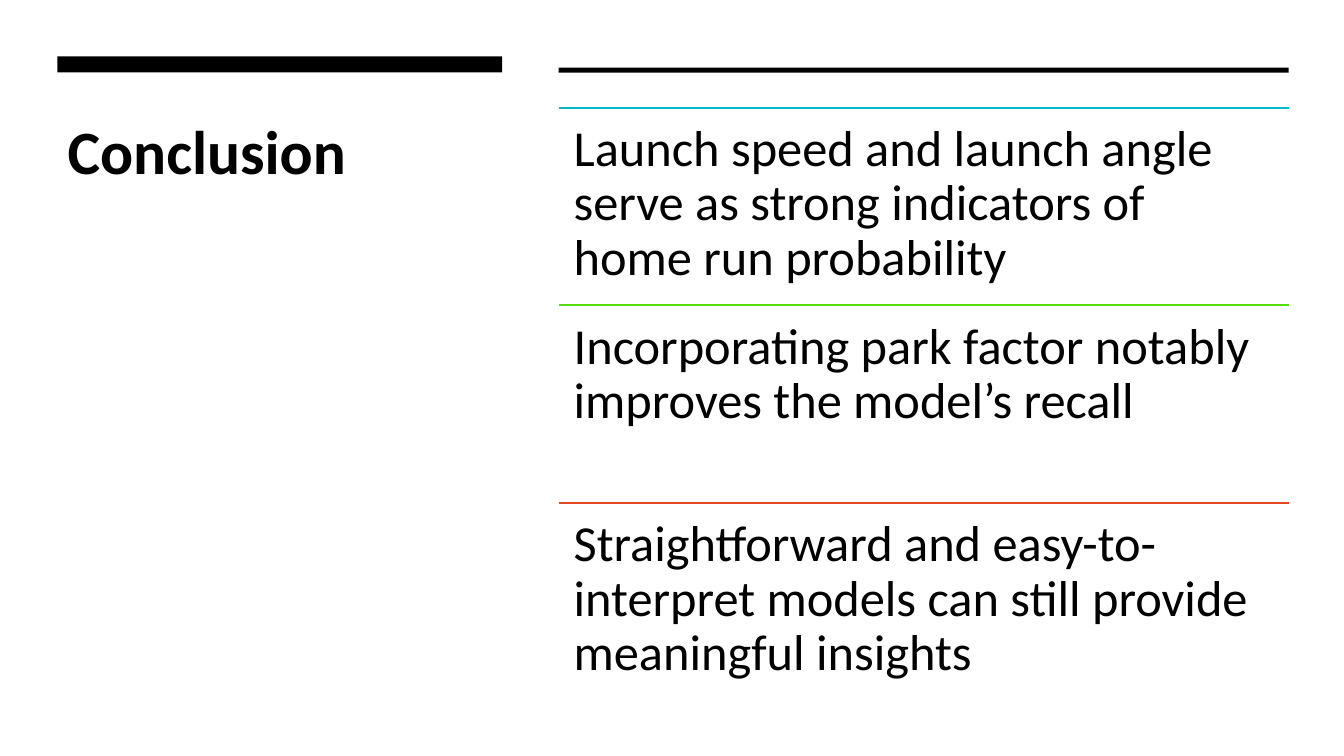
from pptx import Presentation
from pptx.dml.color import RGBColor as RGB
from pptx.enum.shapes import MSO_CONNECTOR as CONN, MSO_SHAPE as SHAPE
from pptx.enum.text import MSO_ANCHOR as ANCHOR, MSO_AUTO_SIZE as AUTO, PP_ALIGN as ALIGN
from pptx.oxml.ns import qn
from pptx.util import Inches, Pt
from lxml.etree import SubElement

COLORS = {
    "text": "000000",
    "back": "FFFFFF",
    "teal": "00BAC8",
    "green": "59DD0C",
    "red": "E64823",
}

POINTS = [
    ("teal", "Launch speed and launch angle serve as strong indicators of home run probability"),
    ("green", "Incorporating park factor notably improves the model’s recall"),
    ("red", "Straightforward and easy-to-interpret models can still provide meaningful insights"),
]


def color(name):
    return RGB.from_string(COLORS[name])


def write(tf, text, font="Calibri", size=36, bold=False, fill="text", spacing=1.0, inset=None):
    tf.word_wrap = True
    tf.auto_size = AUTO.NONE
    tf.vertical_anchor = ANCHOR.TOP
    if inset is not None:
        tf.margin_left = tf.margin_right = Inches(inset)
        tf.margin_top = tf.margin_bottom = Inches(inset)
    p = tf.paragraphs[0]
    p.alignment = ALIGN.LEFT
    p.line_spacing = spacing
    r = p.add_run()
    r.text = text
    r.font.name = font
    r.font.size = Pt(size)
    r.font.bold = bold
    r.font.color.rgb = color(fill)


class Deck:
    def __init__(self, width, height):
        self.prs = Presentation()
        self.prs.slide_width = Inches(width)
        self.prs.slide_height = Inches(height)
        self.s = self.prs.slides.add_slide(self.prs.slide_layouts[5])
        bg = self.s.background.fill
        bg.solid()
        bg.fore_color.rgb = color("back")

    def title(self, text, x, y, w, h):
        sp = self.s.shapes.title
        sp.left, sp.top, sp.width, sp.height = map(Inches, (x, y, w, h))
        write(sp.text_frame, text, size=44, bold=True)

    def bar(self, x, y, w, h):
        sp = self.s.shapes.add_shape(SHAPE.RECTANGLE, *map(Inches, (x, y, w, h)))
        sp.shadow.inherit = False
        sp.fill.solid()
        sp.fill.fore_color.rgb = color("text")
        sp.line.fill.background()

    def rule(self, x, y, w, name):
        sp = self.s.shapes.add_connector(CONN.STRAIGHT, *map(Inches, (x, y, x + w, y)))
        sp.line.color.rgb = color(name)
        sp.line.width = Pt(1.5)
        SubElement(sp._element.spPr, qn("a:effectLst"))

    def text(self, text, x, y, w, h):
        sp = self.s.shapes.add_textbox(*map(Inches, (x, y, w, h)))
        write(sp.text_frame, text, spacing=0.9, inset=0.15)


def main():
    deck = Deck(13.33, 7.5)
    deck.title("Conclusion", 0.57, 1.07, 4.41, 3.68)
    deck.bar(0.57, 0.56, 4.41, 0.16)
    x, w = 5.54, 7.24
    deck.bar(x, 0.67, w, 0.05)
    top, row = 1.07, 1.96
    for i, (name, text) in enumerate(POINTS):
        y = top + i * row
        deck.rule(x, y, w, name)
        deck.text(text, x, y, w, row)
    deck.prs.save("out.pptx")


if __name__ == "__main__":
    main()
